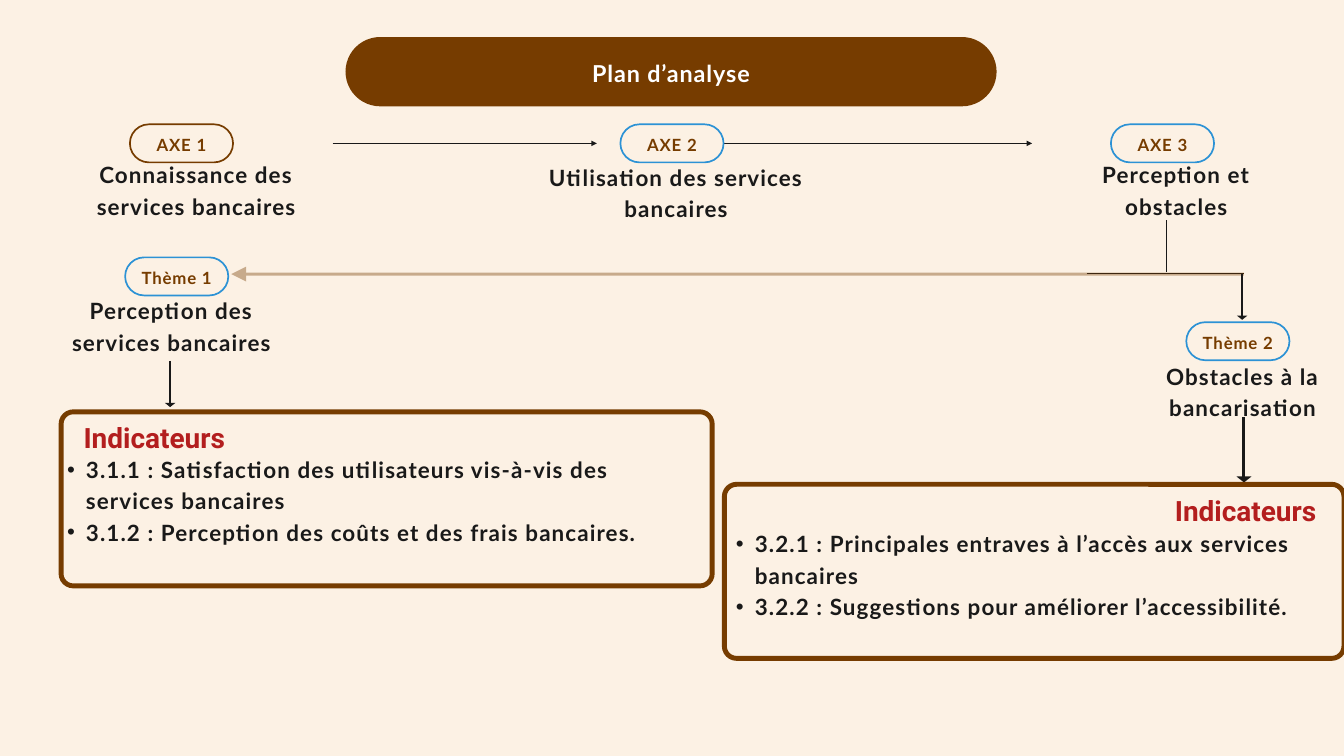
from lxml import etree
from pptx import Presentation
from pptx import util as u
from pptx.dml.color import RGBColor
from pptx.enum import shapes, text
from pptx.oxml.ns import qn

CREAM = RGBColor(0xFC, 0xF1, 0xE4)
BROWN = RGBColor(0x76, 0x3C, 0x00)
BLUE = RGBColor(0x2C, 0x92, 0xD5)
INK = RGBColor(0x19, 0x19, 0x19)
RED = RGBColor(0xB3, 0x1E, 0x1E)
WHITE = RGBColor(0xFF, 0xFF, 0xFF)


def style(par, size, color, lead, space=0, face="Lato", align=text.PP_ALIGN.CENTER):
    par.alignment = align
    par.line_spacing = u.Pt(lead)
    for run in par.runs:
        run.font.size = u.Pt(size)
        run.font.name = face
        run.font.bold = True
        run.font.color.rgb = color
        if space:
            run._r.get_or_add_rPr().set("spc", str(int(space * 100)))


def clear(frame):
    frame.margin_left = frame.margin_right = 0
    frame.margin_top = frame.margin_bottom = 0
    frame.word_wrap = True


def add_box(slide, x, y, w, h, words):
    box = slide.shapes.add_textbox(u.Cm(x), u.Cm(y), u.Cm(w), u.Cm(h))
    clear(box.text_frame)
    box.text_frame.text = words
    return box.text_frame.paragraphs


def add_round(slide, x, y, w, h, curve, fill=None, edge=None, width=0):
    form = slide.shapes.add_shape(
        shapes.MSO_SHAPE.ROUNDED_RECTANGLE, u.Cm(x), u.Cm(y), u.Cm(w), u.Cm(h))
    form.shadow.inherit = False
    form.adjustments[0] = curve
    if fill is None:
        form.fill.background()
    else:
        form.fill.solid()
        form.fill.fore_color.rgb = fill
    if edge is None:
        form.line.fill.background()
    else:
        form.line.color.rgb = edge
        form.line.width = u.Pt(width)
    return form


def add_label(form, words, size, color, lead, space):
    frame = form.text_frame
    clear(frame)
    frame.vertical_anchor = text.MSO_ANCHOR.MIDDLE
    frame.text = words
    style(frame.paragraphs[0], size, color, lead, space)


def add_pill(slide, mid_x, mid_y, words, edge=BLUE):
    w, h = 3.9, 1.44
    pill = add_round(slide, mid_x - w / 2, mid_y - h / 2, w, h, 0.5, None, edge, 1.8)
    add_label(pill, words, 18, BROWN, 25.2, 0.9)


def add_topic(slide, x, y, w, words):
    style(add_box(slide, x, y, w, 2.29, words)[0], 24, INK, 33.6, 1.2)


def add_line(slide, x1, y1, x2, y2, width, head=None, color=INK, alpha=None):
    line = slide.shapes.add_connector(
        shapes.MSO_CONNECTOR.STRAIGHT, u.Cm(x1), u.Cm(y1), u.Cm(x2), u.Cm(y2))
    line.line.color.rgb = color
    line.line.width = u.Pt(width)
    props = line._element.spPr
    stroke = props.find(qn("a:ln"))
    if alpha:
        tint = stroke.find(".//" + qn("a:srgbClr"))
        etree.SubElement(tint, qn("a:alpha"), val=str(alpha * 1000))
    if head:
        wide, long = head
        etree.SubElement(stroke, qn("a:tailEnd"), type="triangle", w=wide, len=long)
    etree.SubElement(props, qn("a:effectLst"))


def add_card(slide, x, y, w, head_x, list_x, list_y, list_w, items):
    add_round(slide, x, y, w, 6.58, 0.07, CREAM, BROWN, 5.25)
    for par in add_box(slide, list_x, list_y, list_w, 3.45, "\n".join(items)):
        props = par._p.get_or_add_pPr()
        props.set("marL", str(u.Cm(1.45)))
        props.set("indent", str(-u.Cm(0.71)))
        etree.SubElement(props, qn("a:buFont"), typeface="Arial")
        etree.SubElement(props, qn("a:buChar"), char="•")
        par.level = 1
        style(par, 24, INK, 33.6, 1.2, align=text.PP_ALIGN.LEFT)
    title = add_box(slide, head_x, y + 0.25, 5.93, 1.37, "Indicateurs")[0]
    style(title, 30, RED, 38.7, face="Roboto")


def main():
    deck = Presentation()
    deck.slide_width, deck.slide_height = u.Cm(50.8), u.Cm(28.58)
    slide = deck.slides.add_slide(deck.slide_layouts[6])
    slide.background.fill.solid()
    slide.background.fill.fore_color.rgb = CREAM

    # Title
    banner = add_round(slide, 13.06, 1.4, 24.61, 2.62, 0.5, BROWN)
    add_label(banner, "Plan d’analyse", 25, WHITE, 32.5, 1)

    # Lines from the third axis to its themes
    add_line(slide, 41.07, 10.32, 47.02, 10.32, 0.75)
    add_line(slide, 44.09, 8.32, 44.09, 10.3, 0.75)
    add_line(slide, 47.02, 10.36, 8.74, 10.36, 3.2, ("lg", "lg"), BROWN, 39)

    # Arrows between axes
    for start, end in ((12.57, 22.56), (27.38, 39.01)):
        add_line(slide, start, 5.42, end, 5.42, 0.75, ("med", "med"))

    # Arrows down to themes and cards
    for x, top, end, width in ((46.95, 10.34, 12.09, 2.25),
                               (6.43, 13.64, 15.39, 2.25),
                               (47.02, 15.77, 18.24, 3.2)):
        add_line(slide, x, top, x, end, width, ("lg", "sm"))

    # Axes and themes
    add_pill(slide, 6.86, 5.42, "AXE 1", BROWN)
    for x, y, words in ((25.4, 5.42, "AXE 2"), (43.94, 5.42, "AXE 3"),
                        (6.68, 10.45, "Thème 1"), (46.79, 12.9, "Thème 2")):
        add_pill(slide, x, y, words)
    for x, y, w, words in (
            (2.13, 5.94, 10.57, "Connaissance des services bancaires"),
            (20.27, 6.02, 10.57, "Utilisation des services bancaires"),
            (40.79, 5.94, 7.34, "Perception et obstacles"),
            (2.06, 11.07, 8.84, "Perception des services bancaires"),
            (43.15, 13.54, 7.64, "Obstacles à la bancarisation")):
        add_topic(slide, x, y, w, words)

    # Indicator cards
    add_card(slide, 2.31, 15.57, 24.61, 2.87, 1.8, 17.07, 23.65, (
        "3.1.1 : Satisfaction des utilisateurs vis-à-vis des services bancaires",
        "3.1.2 : Perception des coûts et des frais bancaires."))
    add_card(slide, 27.38, 18.31, 23.42, 44.12, 27.08, 19.89, 23.72, (
        "3.2.1 : Principales entraves à l’accès aux services bancaires",
        "3.2.2 : Suggestions pour améliorer l’accessibilité."))

    deck.save("out.pptx")


if __name__ == "__main__":
    main()
